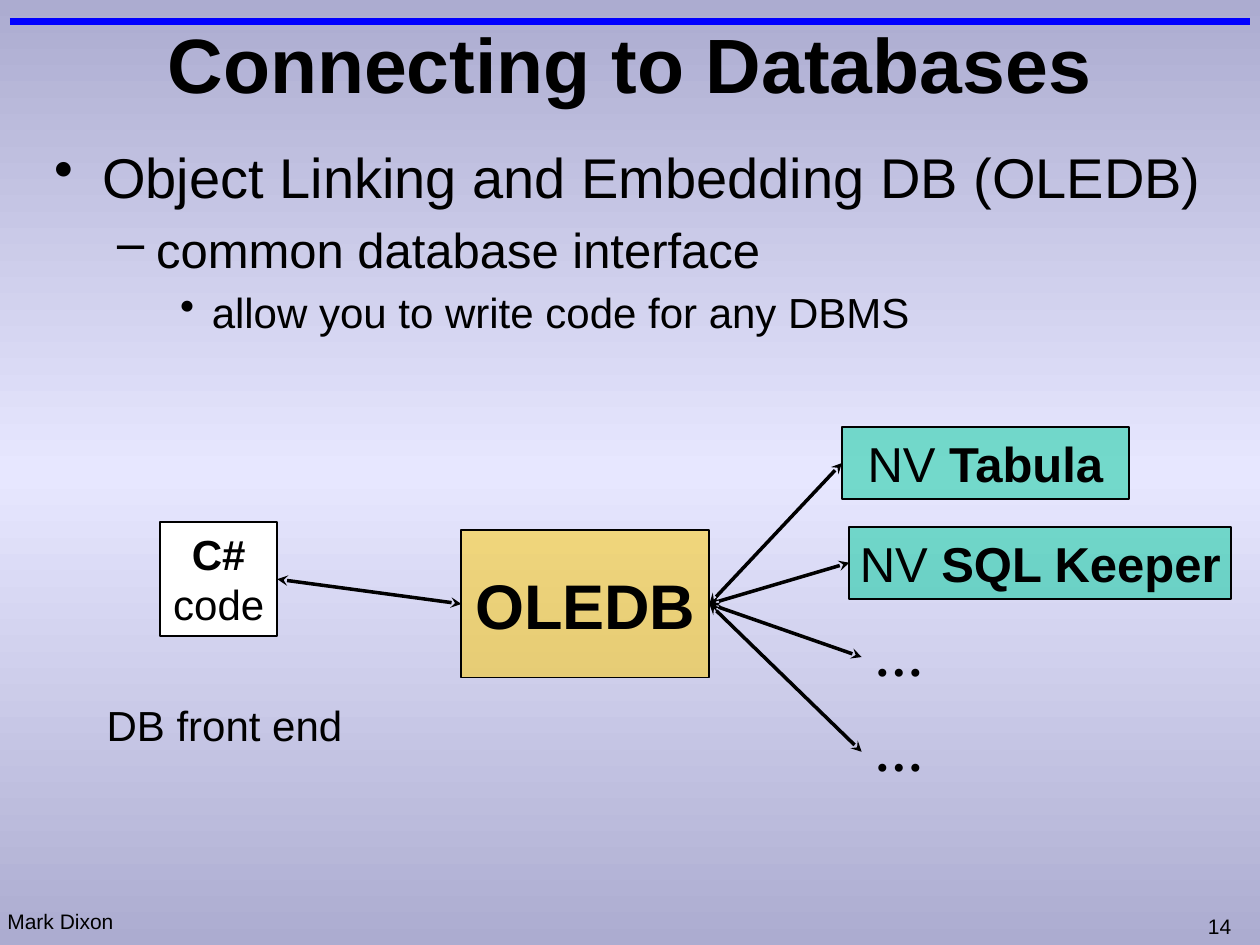
import copy
from dataclasses import dataclass
from typing import Optional

import pptx
import pptx.dml.color
import pptx.enum.shapes
import pptx.enum.text
import pptx.oxml
import pptx.oxml.ns
import pptx.util
from pptx.util import Cm

RGBColor = pptx.dml.color.RGBColor
Align = pptx.enum.text.PP_ALIGN
Anchor = pptx.enum.text.MSO_ANCHOR
qn = pptx.oxml.ns.qn

BLACK = RGBColor(0x00, 0x00, 0x00)
WHITE = RGBColor(0xFF, 0xFF, 0xFF)
BLUE = RGBColor(0x00, 0x00, 0xFF)
GOLD = RGBColor(0xFF, 0xCC, 0x00)
TEAL = RGBColor(0x00, 0xCC, 0x99)
EDGE = RGBColor(0xAC, 0xAC, 0xD0)
MIDDLE = RGBColor(0xE7, 0xE7, 0xFF)

LEFT_SIDE, RIGHT_SIDE = 1, 3


@dataclass(frozen=True)
class Span:
    text: str
    bold: bool = False
    breaks: bool = False


@dataclass(frozen=True)
class Box:
    left: float
    top: float
    width: float
    height: float
    spans: tuple[Span, ...]
    size: int
    align: Align = Align.CENTER
    anchor: Anchor = Anchor.MIDDLE
    fill: Optional[RGBColor] = None
    opacity: int = 100
    font: str = "Arial"
    wrap: bool = False


@dataclass(frozen=True)
class Bullet:
    text: str
    mark: str
    size: int
    margin: float
    hanging: float


def label(left: float, top: float, width: float, height: float, text: str, size: int) -> Box:
    return Box(left, top, width, height, (Span(text),), size, Align.LEFT, Anchor.TOP)


def database(left: float, top: float, width: float, name: str) -> Box:
    return Box(left, top, width, 1.45, (Span("NV "), Span(name, True)), 28, fill=TEAL, opacity=50)


def ellipsis(top: float) -> Box:
    return Box(17.37, top, 1.5, 1.45, (Span("…", True),), 28, font="Times New Roman")


LABELS = (
    label(24.1, 18.29, 1.02, 0.76, "14", 12),
    label(-0.1, 18.19, 2.64, 0.76, "Mark Dixon", 12),
    Box(0, 0, 25.4, 2.54, (Span("Connecting to Databases", True),), 44, wrap=True),
    label(1.9, 13.97, 5.31, 1.3, "DB front end", 24),
)
BULLETS = (
    Bullet("Object Linking and Embedding DB (OLEDB)", "•", 32, 0.97, 0.97),
    Bullet("common database interface", "–", 28, 2.06, 0.79),
    Bullet("allow you to write code for any DBMS", "•", 24, 3.18, 0.64),
)
CODE = Box(3.23, 10.52, 2.36, 2.31, (Span("C#", True, True), Span("code")), 24,
           anchor=Anchor.TOP, fill=WHITE)
INTERFACE = Box(9.3, 10.69, 5, 2.97, (Span("OLEDB", True),), 36, fill=GOLD, opacity=50)
SOURCES = (
    database(16.97, 8.61, 5.79, "Tabula"),
    database(17.12, 10.62, 7.7, "SQL Keeper"),
    ellipsis(12.52),
    ellipsis(14.43),
)


def style_font(font, name: str, size: int, bold: bool = False) -> None:
    font.name = name
    font.size = pptx.util.Pt(size)
    font.bold = bold
    font.color.rgb = BLACK


def draw_background(page) -> None:
    fill = page.background.fill
    fill.gradient()
    fill.gradient_angle = 270
    stop_list = page.element.find(".//" + qn("a:gsLst"))
    stop_list.insert(1, copy.deepcopy(stop_list[0]))
    for stop, color, position in zip(fill.gradient_stops, (EDGE, MIDDLE, EDGE), (0, 0.5, 1)):
        stop.color.rgb = color
        stop.position = position


def draw_box(page, box: Box):
    frame = Cm(box.left), Cm(box.top), Cm(box.width), Cm(box.height)
    if box.fill is None:
        shape = page.shapes.add_textbox(*frame)
    else:
        shape = page.shapes.add_shape(pptx.enum.shapes.MSO_SHAPE.RECTANGLE, *frame)
        shape.shadow.inherit = False
        shape.fill.solid()
        shape.fill.fore_color.rgb = box.fill
        shape.line.color.rgb = BLACK
        shape.line.width = pptx.util.Pt(1)
        if box.opacity < 100:
            color = shape.fill._xPr.find(qn("a:solidFill"))[0]
            alpha = pptx.oxml.parse_xml(
                f'<a:alpha {pptx.oxml.ns.nsdecls("a")} val="{box.opacity * 1000}"/>')
            color.append(alpha)
    text_frame = shape.text_frame
    text_frame.word_wrap = box.wrap
    text_frame.vertical_anchor = box.anchor
    paragraph = text_frame.paragraphs[0]
    paragraph.alignment = box.align
    for span in box.spans:
        run = paragraph.add_run()
        run.text = span.text
        style_font(run.font, box.font, box.size, span.bold)
        if span.breaks:
            paragraph.add_line_break()
    return shape


def draw_bullets(page, bullets: tuple[Bullet, ...]) -> None:
    body = page.shapes.add_textbox(Cm(0.84), Cm(2.74), Cm(23.7), Cm(15.44))
    text_frame = body.text_frame
    text_frame.word_wrap = True
    text_frame.text = "\n".join(bullet.text for bullet in bullets)
    for level, (paragraph, bullet) in enumerate(zip(text_frame.paragraphs, bullets)):
        paragraph.level = level
        paragraph.space_before = pptx.util.Pt(bullet.size * 0.2)
        style_font(paragraph.runs[0].font, "Arial", bullet.size)
        properties = paragraph._p.get_or_add_pPr()
        properties.set("marL", str(Cm(bullet.margin)))
        properties.set("indent", str(-Cm(bullet.hanging)))
        properties.append(pptx.oxml.parse_xml(
            f'<a:buChar {pptx.oxml.ns.nsdecls("a")} char="{bullet.mark}"/>'))


def draw_line(page, color: RGBColor, width: float):
    line = page.shapes.add_connector(
        pptx.enum.shapes.MSO_CONNECTOR.STRAIGHT, Cm(0.2), Cm(0.43), Cm(25.2), Cm(0.43))
    line.line.color.rgb = color
    line.line.width = pptx.util.Pt(width)
    line._element.spPr.append(pptx.oxml.parse_xml(
        f'<a:effectLst {pptx.oxml.ns.nsdecls("a")}/>'))
    return line


def join(page, start, end) -> None:
    arrow = draw_line(page, BLACK, 2)
    arrow.begin_connect(start, RIGHT_SIDE)
    arrow.end_connect(end, LEFT_SIDE)
    outline = arrow.line._get_or_add_ln()
    for tag in ("headEnd", "tailEnd"):
        outline.append(pptx.oxml.parse_xml(
            f'<a:{tag} {pptx.oxml.ns.nsdecls("a")} type="stealth"/>'))


def main() -> None:
    deck = pptx.Presentation()
    deck.slide_width, deck.slide_height = Cm(25.4), Cm(19.05)
    page = deck.slides.add_slide(deck.slide_layouts[6])
    draw_background(page)
    draw_line(page, BLUE, 4)
    for box in LABELS:
        draw_box(page, box)
    draw_bullets(page, BULLETS)
    code = draw_box(page, CODE)
    interface = draw_box(page, INTERFACE)
    join(page, code, interface)
    for source in SOURCES:
        join(page, interface, draw_box(page, source))
    deck.save("out.pptx")


if __name__ == "__main__":
    main()
